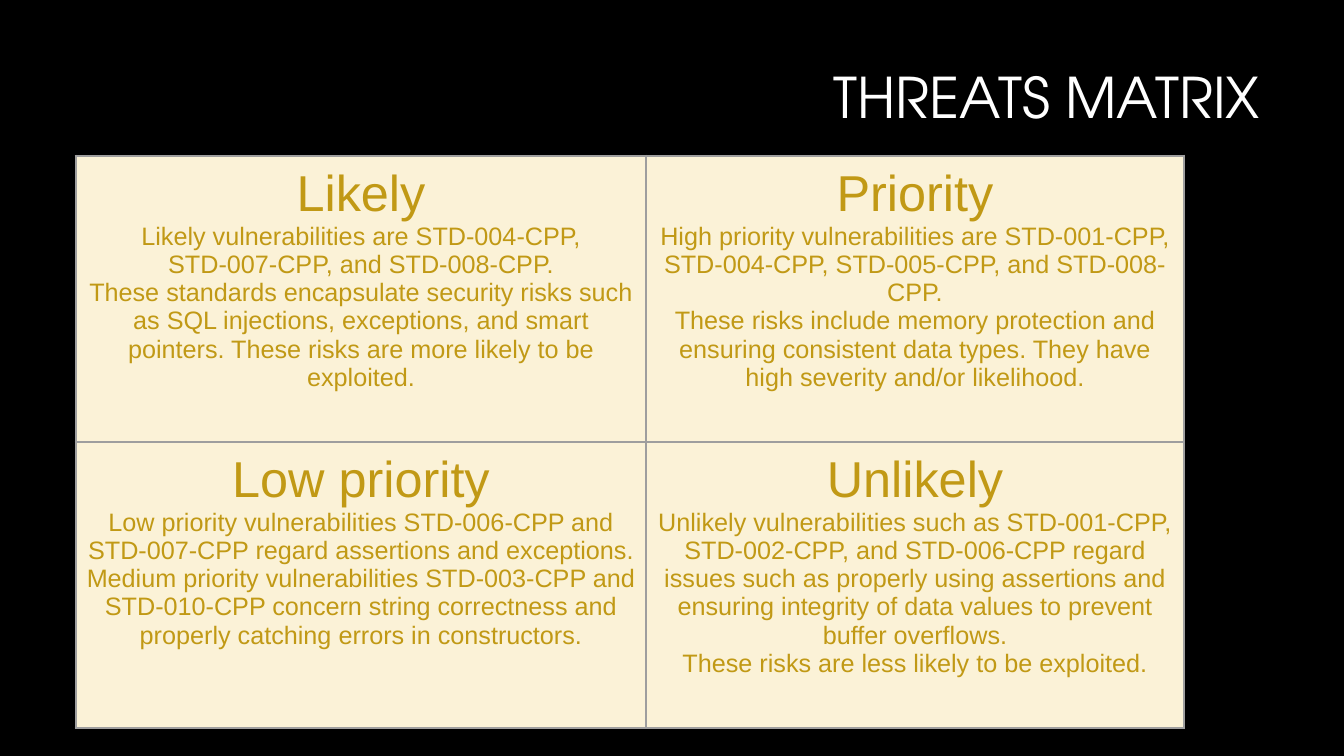
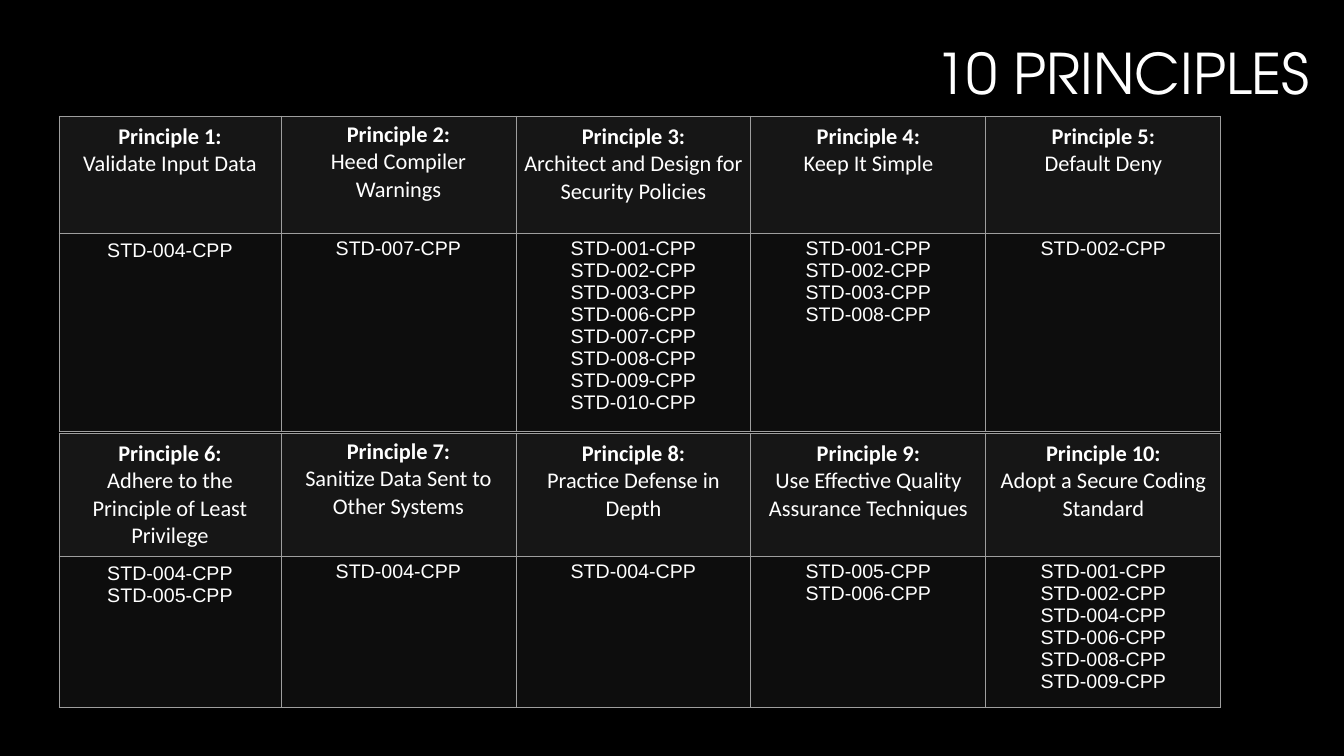
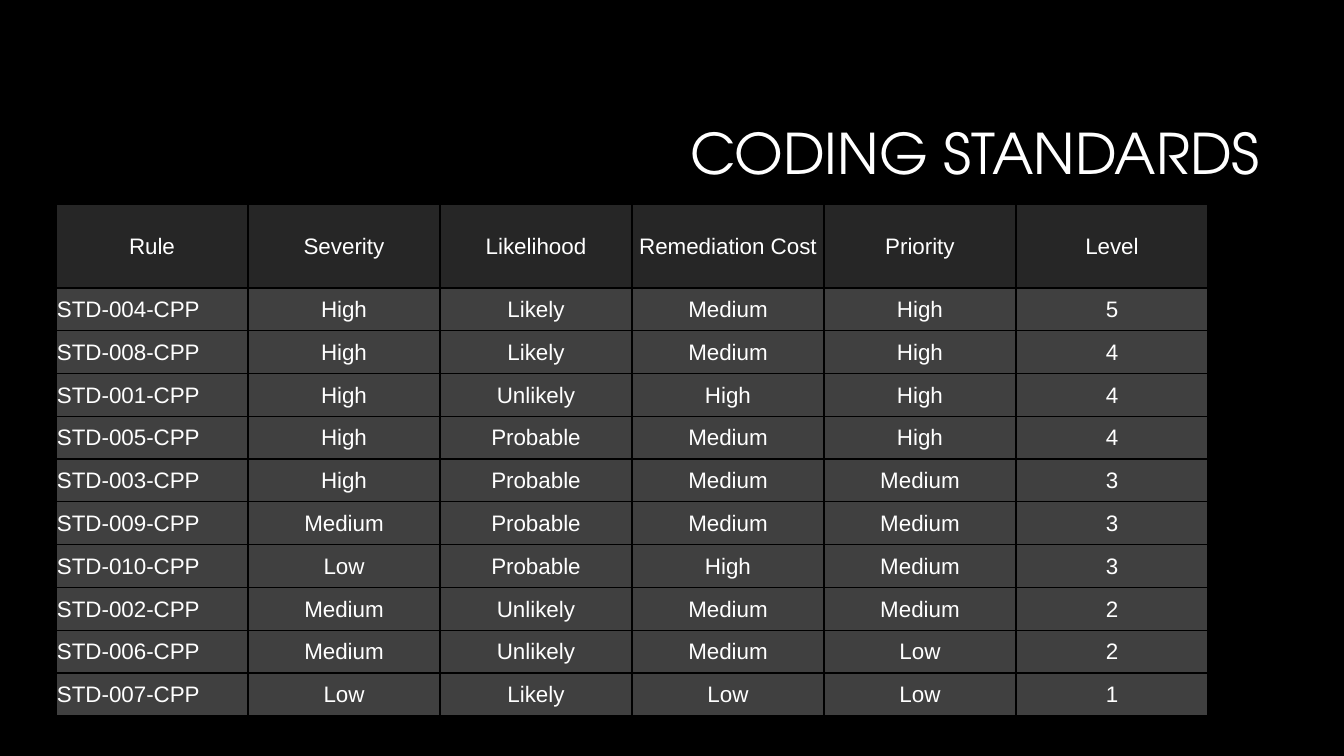
from lxml.etree import SubElement
from pptx import Presentation
from pptx.dml.color import RGBColor
from pptx.enum.text import MSO_ANCHOR, PP_ALIGN
from pptx.oxml.ns import qn
from pptx.util import Emu, Pt

EMU_PER_PX = 12192000 / 1344
BLACK = RGBColor(0x00, 0x00, 0x00)
WHITE = RGBColor(0xFF, 0xFF, 0xFF)
GREY = RGBColor(0x9E, 0x9E, 0x9E)
GOLD = RGBColor(0xC1, 0x99, 0x15)
CREAM = RGBColor(0xFB, 0xF2, 0xD7)
PRINCIPLE_FILL = RGBColor(0x16, 0x16, 0x16)
CODES_FILL = RGBColor(0x0D, 0x0D, 0x0D)
HEADING_FILL = RGBColor(0x26, 0x26, 0x26)
RULE_FILL = RGBColor(0x40, 0x40, 0x40)

THREATS = [
    [("Likely",
      "Likely vulnerabilities are STD-004-CPP, STD-007-CPP, and STD-008-CPP.",
      "These standards encapsulate security risks such as SQL injections, exceptions, "
      "and smart pointers. These risks are more likely to be exploited."),
     ("Priority",
      "High priority vulnerabilities are STD-001-CPP, STD-004-CPP, STD-005-CPP, "
      "and STD-008-CPP.",
      "These risks include memory protection and ensuring consistent data types. "
      "They have high severity and/or likelihood.")],
    [("Low priority",
      "Low priority vulnerabilities STD-006-CPP and STD-007-CPP regard assertions "
      "and exceptions.",
      "Medium priority vulnerabilities STD-003-CPP and STD-010-CPP concern string "
      "correctness and properly catching errors in constructors."),
     ("Unlikely",
      "Unlikely vulnerabilities such as STD-001-CPP, STD-002-CPP, and STD-006-CPP "
      "regard issues such as properly using assertions and ensuring integrity of "
      "data values to prevent buffer overflows.",
      "These risks are less likely to be exploited.")],
]

PRINCIPLES = [
    ("Validate Input Data", [4]),
    ("Heed Compiler Warnings", [7]),
    ("Architect and Design for Security Policies", [1, 2, 3, 6, 7, 8, 9, 10]),
    ("Keep It Simple", [1, 2, 3, 8]),
    ("Default Deny", [2]),
    ("Adhere to the Principle of Least Privilege", [4, 5]),
    ("Sanitize Data Sent to Other Systems", [4]),
    ("Practice Defense in Depth", [4]),
    ("Use Effective Quality Assurance Techniques", [5, 6]),
    ("Adopt a Secure Coding Standard", [1, 2, 4, 6, 8, 9]),
]

STANDARDS = [
    ("Rule", "Severity", "Likelihood", "Remediation Cost", "Priority", "Level"),
    ("STD-004-CPP", "High", "Likely", "Medium", "High", "5"),
    ("STD-008-CPP", "High", "Likely", "Medium", "High", "4"),
    ("STD-001-CPP", "High", "Unlikely", "High", "High", "4"),
    ("STD-005-CPP", "High", "Probable", "Medium", "High", "4"),
    ("STD-003-CPP", "High", "Probable", "Medium", "Medium", "3"),
    ("STD-009-CPP", "Medium", "Probable", "Medium", "Medium", "3"),
    ("STD-010-CPP", "Low", "Probable", "High", "Medium", "3"),
    ("STD-002-CPP", "Medium", "Unlikely", "Medium", "Medium", "2"),
    ("STD-006-CPP", "Medium", "Unlikely", "Medium", "Low", "2"),
    ("STD-007-CPP", "Low", "Likely", "Low", "Low", "1"),
]


def px(length):
    """Turn pixels into EMU."""
    return Emu(round(length * EMU_PER_PX))


def add_text(frame, text, *, size, font="Arial", color=WHITE, bold=False,
             align=PP_ALIGN.CENTER, spacing=None):
    """Add one formatted paragraph, filling the empty first one if there is one."""
    paragraph = frame.add_paragraph() if frame.text else frame.paragraphs[0]
    paragraph.alignment = align
    if spacing:
        paragraph.line_spacing = spacing
    run = paragraph.add_run()
    run.text = text
    run.font.size = Pt(size)
    run.font.name = font
    run.font.bold = bold
    run.font.color.rgb = color


def set_insets(target, left, top, right, bottom):
    """Set the inner margins of a text frame or a cell."""
    target.margin_left, target.margin_top = px(left), px(top)
    target.margin_right, target.margin_bottom = px(right), px(bottom)


def add_titled_slide(deck, title, left, top):
    """Add a blank slide with the shared right-aligned title."""
    slide = deck.slides.add_slide(deck.slide_layouts[6])
    frame = slide.shapes.add_textbox(px(left), px(top), px(950), px(142)).text_frame
    frame.word_wrap = True
    frame.vertical_anchor = MSO_ANCHOR.MIDDLE
    set_insets(frame, 10, 5, 10, 5)
    add_text(frame, title, size=40, font="TeX Gyre Adventor",
             align=PP_ALIGN.RIGHT, spacing=0.9)
    return slide


def add_grid(slide, left, top, widths, heights):
    """Add an unstyled table with the given column widths and row heights."""
    table = slide.shapes.add_table(len(heights), len(widths), px(left), px(top),
                                   px(sum(widths)), px(sum(heights))).table
    table.first_row = table.horz_banding = False
    for column, width in zip(table.columns, widths):
        column.width = px(width)
    for row, height in zip(table.rows, heights):
        row.height = px(height)
    return table


def style_cell(cell, fill, border, border_width, insets):
    """Set the borders, fill and insets of a cell."""
    properties = cell._tc.get_or_add_tcPr()
    for side in ("a:lnL", "a:lnR", "a:lnT", "a:lnB"):
        line = SubElement(properties, qn(side), w=str(Pt(border_width)))
        SubElement(SubElement(line, qn("a:solidFill")), qn("a:srgbClr"), val=str(border))
    cell.fill.solid()
    cell.fill.fore_color.rgb = fill
    set_insets(cell, *insets)


def build_threats(deck):
    """Build the matrix of threats."""
    slide = add_titled_slide(deck, "THREATS MATRIX", 320, 29)
    matrix = add_grid(slide, 76, 156, [570, 538], [286] * 2)
    for row, threats in enumerate(THREATS):
        for column, (heading, *details) in enumerate(threats):
            cell = matrix.cell(row, column)
            style_cell(cell, CREAM, GREY, 2.25, [10] * 4)
            add_text(cell.text_frame, heading, size=36, color=GOLD)
            for detail in details:
                add_text(cell.text_frame, detail, size=18, color=GOLD)


def add_principles(slide, top, heights, first):
    """Add a table of five principles over their standards."""
    table = add_grid(slide, 59, top, [222] + [235] * 4, heights)
    even, wide = [7] * 4, [10, 5, 10, 5]
    for column, (principle, codes) in enumerate(PRINCIPLES[first - 1:first + 4]):
        name_cell, codes_cell = table.cell(0, column), table.cell(1, column)
        style_cell(name_cell, PRINCIPLE_FILL, GREY, 0.75, wide if column == 1 else even)
        style_cell(codes_cell, CODES_FILL, GREY, 0.75, wide if column else even)
        add_text(name_cell.text_frame, f"Principle {first + column}:", size=16,
                 font="Calibri", bold=True)
        add_text(name_cell.text_frame, principle, size=16, font="Calibri")
        for code in codes:
            add_text(codes_cell.text_frame, f"STD-{code:03}-CPP", size=14)


def build_principles(deck):
    """Build the two tables of principles."""
    slide = add_titled_slide(deck, "10 PRINCIPLES", 370, 5)
    add_principles(slide, 116, [117, 187], 1)
    add_principles(slide, 433, [123, 143], 6)


def build_standards(deck):
    """Build the table of rated coding standards."""
    slide = add_titled_slide(deck, "CODING STANDARDS", 320, 85)
    rule_count = len(STANDARDS) - 1
    table = add_grid(slide, 56, 204, [192] * 6, [84] + [428 / rule_count] * rule_count)
    for row, ratings in enumerate(STANDARDS):
        for column, rating in enumerate(ratings):
            cell = table.cell(row, column)
            style_cell(cell, RULE_FILL if row else HEADING_FILL, BLACK, 1, [1, 1, 1, 0])
            cell.vertical_anchor = MSO_ANCHOR.MIDDLE
            is_rule = row > 0 and column == 0
            add_text(cell.text_frame, rating, size=16,
                     align=PP_ALIGN.LEFT if is_rule else PP_ALIGN.CENTER)


def main():
    """Build and save the presentation."""
    deck = Presentation()
    deck.slide_width, deck.slide_height = px(1344), px(756)
    backdrop = deck.slide_master.background.fill
    backdrop.solid()
    backdrop.fore_color.rgb = BLACK
    build_threats(deck)
    build_principles(deck)
    build_standards(deck)
    deck.save("out.pptx")


if __name__ == "__main__":
    main()
